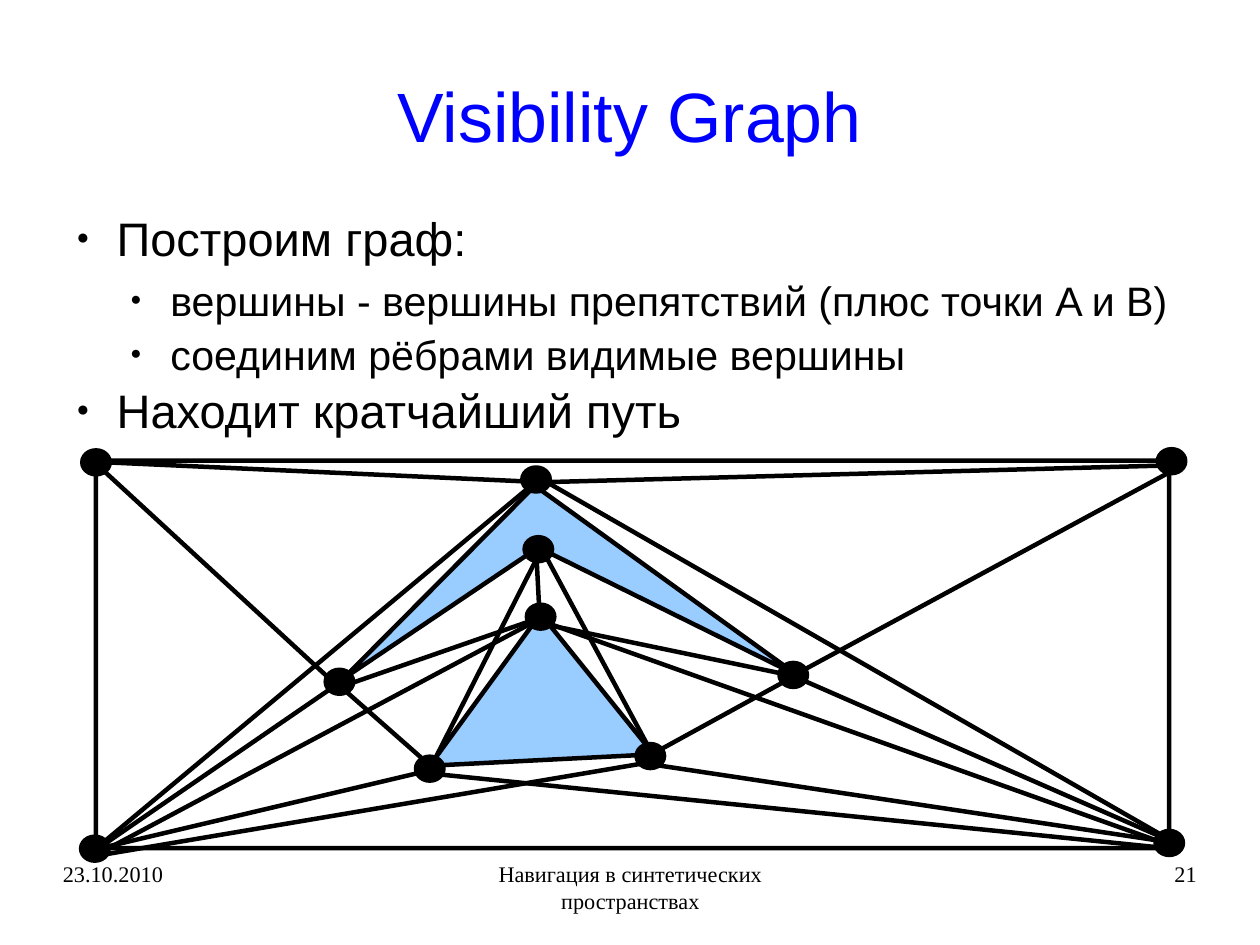
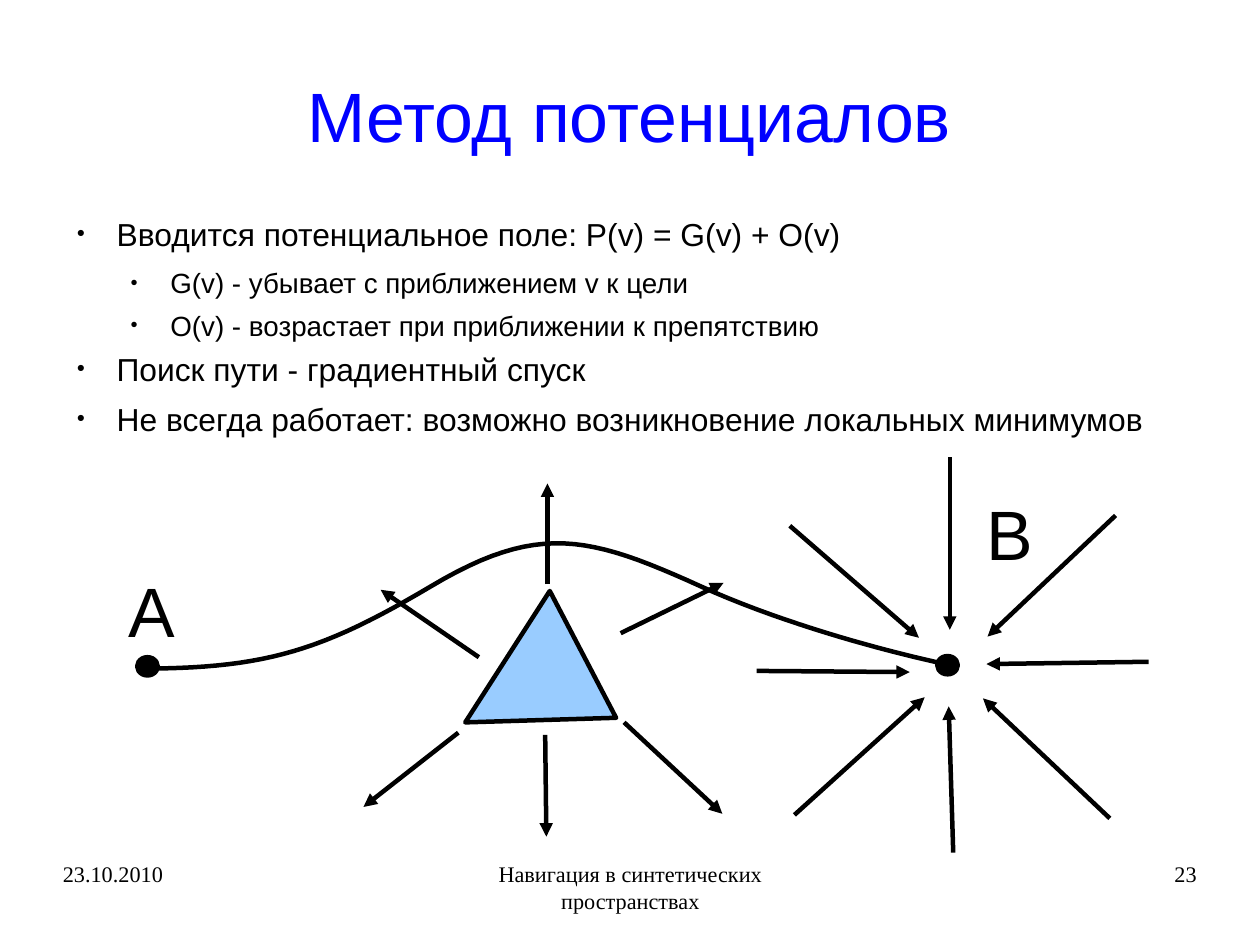
from lxml.etree import SubElement
from pptx import Presentation
from pptx.dml.color import RGBColor
from pptx.enum.shapes import MSO_CONNECTOR, MSO_SHAPE
from pptx.enum.text import MSO_ANCHOR, PP_ALIGN
from pptx.oxml.ns import qn
from pptx.util import Inches, Pt

COLORS = {"title": "0000FF", "ink": "000000", "obstacle": "99CCFF"}
SANS, SERIF = "Arial", "Times New Roman"
CM_PER_INCH = 2.54
LINE_WIDTH = 2.83
MARGIN, CONTENT_WIDTH = 0.55, 9.92
FOOTER_TOP, FOOTER_HEIGHT = 7.53, 0.57
INDENT, HANGING = 0.47, 0.35
SPACE_AFTER = (14.1, 11.4)

OBSTACLES = [
    [(3, 5.94), (4.68, 4.25), (6.98, 5.91), (4.71, 4.79)],
    [(4.73, 5.37), (3.76, 6.7), (5.72, 6.6)],
]
FRAME = [(0.8, 4.03), (10.23, 4.03), (10.23, 7.42), (0.84, 7.42), (0.84, 3.99)]
VERTEX_SIZE = (0.24, 0.21)
VERTICES = [
    (0.72, 3.94), (2.85, 5.86), (4.57, 4.09), (4.59, 4.7), (6.82, 5.8), (10.13, 3.93),
    (10.11, 7.27), (5.57, 6.51), (3.64, 6.62), (0.71, 7.32), (4.61, 5.29),
]
EDGES = [
    ((0.82, 7.45), (2.96, 5.98)), ((2.94, 5.99), (0.8, 4.02)),
    ((0.82, 7.44), (4.73, 4.18)), ((3.8, 6.73), (0.84, 7.43)),
    ((0.84, 7.48), (4.73, 5.41)), ((0.82, 4.04), (4.77, 4.22)),
    ((2.96, 5.99), (3.8, 6.73)), ((4.68, 5.42), (2.98, 6.01)),
    ((3.76, 6.73), (4.73, 4.82)), ((10.2, 7.42), (3.69, 6.76)),
    ((4.72, 5.37), (4.69, 4.79)), ((7.02, 5.93), (4.71, 5.45)),
    ((4.72, 4.22), (10.31, 4.07)), ((4.75, 4.82), (5.72, 6.62)),
    ((5.72, 6.59), (6.96, 5.91)), ((10.24, 7.37), (5.65, 6.68)),
    ((0.77, 7.5), (5.74, 6.66)), ((6.93, 5.91), (10.2, 7.34)),
    ((10.31, 4.09), (6.96, 5.9)), ((10.25, 7.4), (4.73, 5.43)),
    ((4.7, 4.17), (10.31, 7.39)),
]

ENDPOINT_SIZE = (0.18, 0.16)
ENDPOINTS = [("A", (1.03, 4.94), (1.2, 5.75)), ("B", (8.53, 4.27), (8.2, 5.74))]
FIELD_OBSTACLE = [(4.07, 6.32), (4.81, 5.17), (5.39, 6.28)]
REPULSION = [
    ((4.79, 5.11), (4.79, 4.23)), ((4.01, 6.41), (3.18, 7.06)),
    ((5.46, 6.32), (6.32, 7.12)), ((4.77, 6.43), (4.78, 7.32)),
    ((5.43, 5.54), (6.33, 5.1)), ((4.19, 5.75), (3.33, 5.16)),
]
ATTRACTION = [
    ((6.62, 5.87), (7.96, 5.88)), ((8.31, 4), (8.31, 5.51)),
    ((10.05, 5.79), (8.63, 5.81)), ((8.34, 7.46), (8.3, 6.18)),
    ((6.95, 7.13), (8.09, 6.1)), ((6.91, 4.6), (8.04, 5.58)),
    ((9.76, 4.51), (8.64, 5.57)), ((9.71, 7.16), (8.6, 6.11)),
]
ROUTE = [
    [(1.32, 5.85), (2.33, 5.84), (2.83, 5.69), (3.77, 5.13)],
    [(3.77, 5.13), (4.71, 4.57), (5.16, 4.69), (6.13, 5.13)],
    [(6.13, 5.13), (7.1, 5.57), (8.27, 5.81), (8.27, 5.81)],
]


def color(name):
    return RGBColor.from_string(COLORS[name])


def add_box(page, left, top, width, height, insets=(0, 0, 0, 0), anchor=MSO_ANCHOR.TOP):
    frame = page.shapes.add_textbox(
        Inches(left), Inches(top), Inches(width), Inches(height)).text_frame
    frame.word_wrap = True
    frame.vertical_anchor = anchor
    frame.margin_left, frame.margin_top, frame.margin_right, frame.margin_bottom = map(
        Inches, insets)
    return frame


def add_span(para, text, size, font=SANS, ink="ink"):
    span = para.add_run()
    span.text = text
    span.font.size = Pt(size)
    span.font.name = font
    span.font.color.rgb = color(ink)


def add_label(box, text, size, font=SANS, ink="ink", align=PP_ALIGN.LEFT, spacing=0.93):
    para = box.paragraphs[0]
    para.alignment = align
    para.line_spacing = spacing
    add_span(para, text, size, font, ink)


def add_bullet(para, level):
    para.level = level
    properties = para._p.get_or_add_pPr()
    properties.set("marL", str(Inches(INDENT * (level + 1))))
    properties.set("indent", str(-Inches(HANGING)))
    bullet_color = SubElement(properties, qn("a:buClr"))
    SubElement(bullet_color, qn("a:srgbClr"), val=COLORS["ink"])
    SubElement(properties, qn("a:buSzPct"), val="45000")
    SubElement(properties, qn("a:buFont"), typeface=SANS)
    SubElement(properties, qn("a:buChar"), char="●")


def add_bullets(page, height, sizes, items):
    """Write (level, text) items; sizes holds one font size per level."""
    box = add_box(page, MARGIN, 1.93, CONTENT_WIDTH, height, (0, 0.03, 0, 0))
    for index, (level, text) in enumerate(items):
        para = box.add_paragraph() if index else box.paragraphs[0]
        add_bullet(para, level)
        para.line_spacing = 0.73
        para.space_after = Pt(SPACE_AFTER[level])
        add_span(para, text, sizes[level])


def set_outline(shape):
    shape.line.color.rgb = color("ink")
    shape.line.width = Pt(LINE_WIDTH)


def set_fill(shape, name):
    shape.fill.solid()
    shape.fill.fore_color.rgb = color(name)


def add_outline(page, points, fill=None, close=True):
    start, *rest = [(Inches(x), Inches(y)) for x, y in points]
    builder = page.shapes.build_freeform(*start)
    builder.add_line_segments(rest, close=close)
    shape = builder.convert_to_shape()
    shape.shadow.inherit = False
    if fill:
        set_fill(shape, fill)
    else:
        shape.fill.background()
    set_outline(shape)


def add_dot(page, corner, size):
    dot = page.shapes.add_shape(MSO_SHAPE.OVAL, *map(Inches, corner + size))
    dot.shadow.inherit = False
    set_fill(dot, "ink")
    set_outline(dot)


def add_line(page, start, end, arrow=False):
    line = page.shapes.add_connector(MSO_CONNECTOR.STRAIGHT, *map(Inches, start + end))
    set_outline(line)
    if arrow:
        SubElement(line.line._get_or_add_ln(), qn("a:tailEnd"), type="triangle")
    SubElement(line._element.spPr, qn("a:effectLst"))


def curve_points(segments, steps=24):
    """Sample joined cubic Bezier segments."""
    points = [segments[0][0]]
    for a, b, c, d in segments:
        for step in range(1, steps + 1):
            t = step / steps
            u = 1 - t
            points.append(tuple(
                u**3 * a[i] + 3 * u * u * t * b[i] + 3 * u * t * t * c[i] + t**3 * d[i]
                for i in (0, 1)))
    return points


def add_page(deck, title):
    page = deck.slides.add_slide(deck.slide_layouts[6])
    box = add_box(page, MARGIN, 0.33, CONTENT_WIDTH, 1.38, (0, 0.04, 0, 0), MSO_ANCHOR.MIDDLE)
    add_label(box, title, 44, ink="title", align=PP_ALIGN.CENTER)
    return page


def add_footer(page, number):
    for left, width, text, align in (
        (3.77, 3.49, "Навигация в синтетических пространствах", PP_ALIGN.CENTER),
        (7.9, 2.57, str(number), PP_ALIGN.RIGHT),
        (MARGIN, 2.57, "23.10.2010", PP_ALIGN.LEFT),
    ):
        box = add_box(page, left, FOOTER_TOP, width, FOOTER_HEIGHT)
        add_label(box, text, 14, SERIF, align=align, spacing=1.0)


def add_visibility_page(deck):
    page = add_page(deck, "Visibility Graph")
    add_bullets(page, 1.85, (29.6, 25.9), [
        (0, "Построим граф:"),
        (1, "вершины - вершины препятствий (плюс точки A и B)"),
        (1, "соединим рёбрами видимые вершины"),
        (0, "Находит кратчайший путь"),
    ])
    for obstacle in OBSTACLES:
        add_outline(page, obstacle, "obstacle")
    add_outline(page, FRAME)
    for corner in VERTICES:
        add_dot(page, corner, VERTEX_SIZE)
    for start, end in EDGES:
        add_line(page, start, end)
    add_footer(page, 21)


def add_potential_page(deck):
    page = add_page(deck, "Метод потенциалов")
    add_bullets(page, 1.98, (20, 17.5), [
        (0, "Вводится потенциальное поле: P(v) = G(v) + O(v)"),
        (1, "G(v) - убывает с приближением v к цели"),
        (1, "O(v) - возрастает при приближении к препятствию"),
        (0, "Поиск пути - градиентный спуск"),
        (0, "Не всегда работает: возможно возникновение локальных минимумов"),
    ])
    for name, label_corner, dot_corner in ENDPOINTS:
        box = add_box(page, *label_corner, 0.9, 0.78, (0.1, 0.09, 0.1, 0.05))
        add_label(box, name, 44)
        add_dot(page, dot_corner, ENDPOINT_SIZE)
    add_outline(page, FIELD_OBSTACLE, "obstacle")
    for start, end in REPULSION + ATTRACTION:
        add_line(page, start, end, arrow=True)
    add_outline(page, curve_points(ROUTE), close=False)
    add_footer(page, 23)


def main():
    deck = Presentation()
    deck.slide_width = Inches(28 / CM_PER_INCH)
    deck.slide_height = Inches(21 / CM_PER_INCH)
    add_visibility_page(deck)
    add_potential_page(deck)
    deck.save("out.pptx")


if __name__ == "__main__":
    main()
